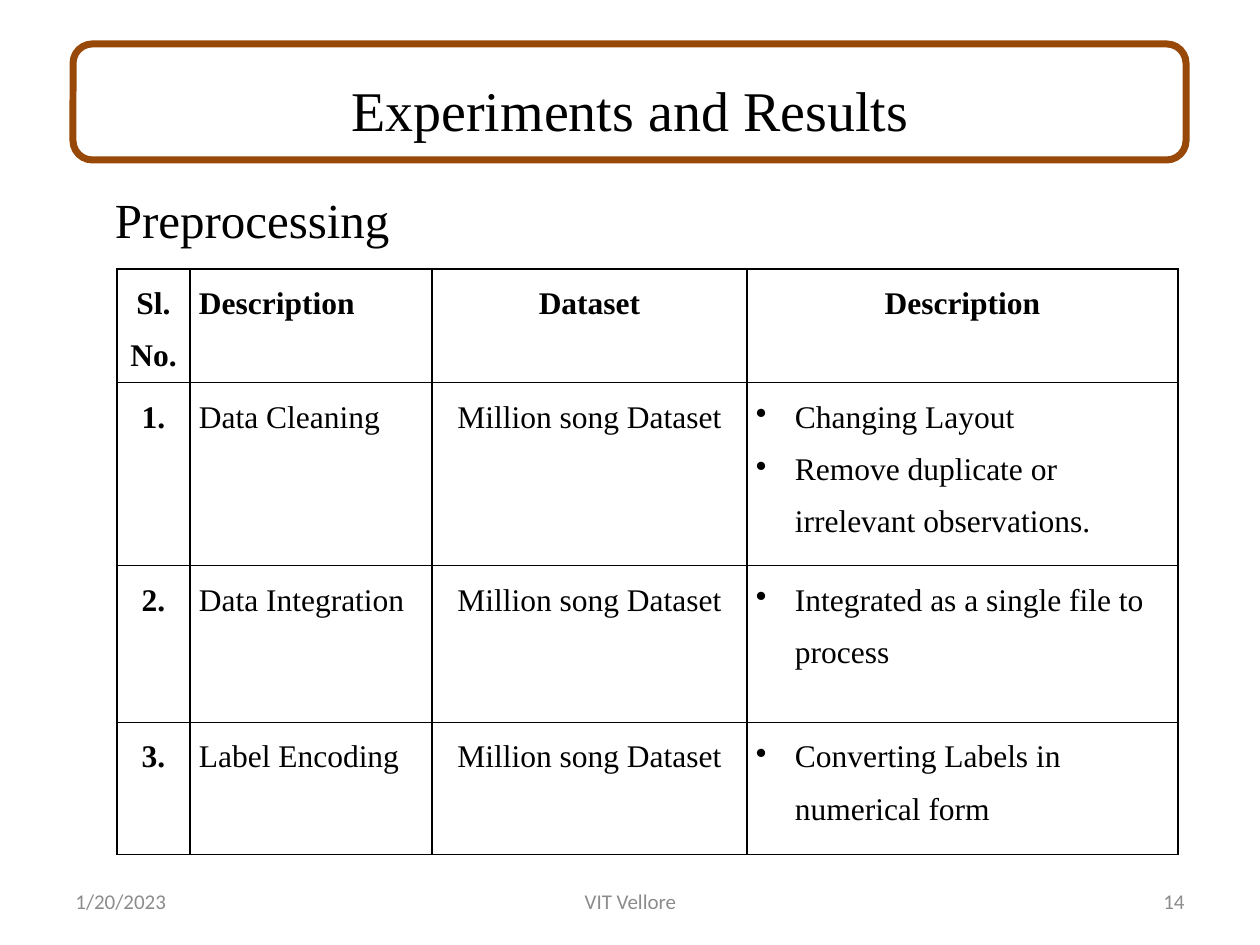
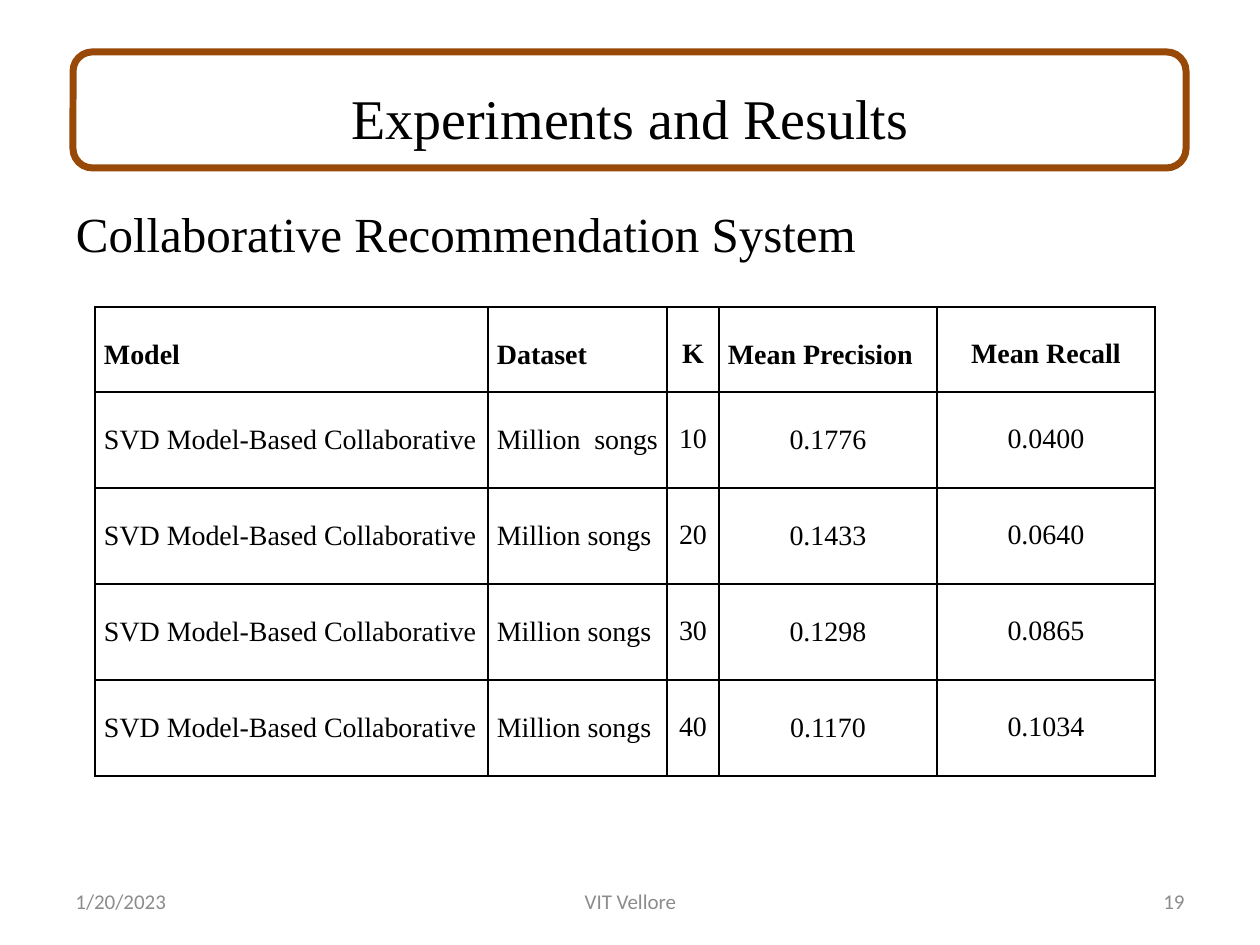
from lxml import etree
from pptx import Presentation, util as u
from pptx.dml.color import RGBColor
from pptx.enum import shapes, text
from pptx.oxml.ns import qn

COLORS = {"ink": "000000", "frame": "984807", "footer": "8C8C8C", "paper": "FFFFFF"}
SERIF, SANS = "Times New Roman", "Calibri"
LEFT, CENTER, RIGHT, JUSTIFY = (
    text.PP_ALIGN.LEFT, text.PP_ALIGN.CENTER, text.PP_ALIGN.RIGHT, text.PP_ALIGN.JUSTIFY)
TITLE = "Experiments and Results"
DATE, VENUE = "1/20/2023", "VIT Vellore"
DATASET = "Million song Dataset"
MODEL, SONGS = "SVD Model-Based Collaborative", "Million songs"
SIDE = 9
BULLET_INDENT = 39

SLIDES = [
    {
        "number": "14", "title_top": 30, "frame_top": 44,
        "heading": "Preprocessing", "heading_box": (102, 179, 339, 62), "heading_margin": 13,
        "table": {
            "at": (117, 269), "size": 18, "spacing": 1.5,
            "columns": (73, 242, 315, 431), "rows": (105, 183, 157, 132),
            "header_aligns": (CENTER, LEFT, CENTER, CENTER),
            "aligns": (CENTER, LEFT, CENTER, LEFT),
            "insets": [(SIDE, 0)] * 4, "bold_columns": {0},
            "cells": [
                ("Sl. No.", "Description", "Dataset", "Description"),
                ("1.", "Data Cleaning", DATASET,
                 ["Changing Layout", "Remove duplicate or irrelevant observations."]),
                ("2.", "Data Integration", DATASET, ["Integrated as a single file to process"]),
                ("3.", "Label Encoding", DATASET, ["Converting Labels in numerical form"]),
            ],
        },
    },
    {
        "number": "19", "title_top": 38, "frame_top": 52,
        "heading": "Collaborative Recommendation System",
        "heading_box": (0, 193, 917, 62), "heading_margin": 76,
        "table": {
            "at": (95, 307), "size": 16, "spacing": 2.0,
            "columns": (393, 179, 52, 218, 218), "rows": (85, 96, 96, 96, 96),
            "header_aligns": (JUSTIFY, JUSTIFY, CENTER, LEFT, CENTER),
            "aligns": (JUSTIFY, JUSTIFY, CENTER, CENTER, CENTER),
            "insets": [(SIDE, 1), (SIDE, 1), (0, 0), (SIDE, 1), (0, 0)], "bold_columns": set(),
            "cells": [
                ("Model", "Dataset", "K", "Mean Precision", "Mean Recall"),
                (MODEL, SONGS + " ", "10", "0.1776", "0.0400"),
                (MODEL, SONGS, "20", "0.1433", "0.0640"),
                (MODEL, SONGS, "30", "0.1298", "0.0865"),
                (MODEL, SONGS, "40", "0.1170", "0.1034"),
            ],
        },
    },
]


def px(length):
    return u.Emu(round(length * 914400 / 126))


def color(name):
    return RGBColor.from_string(COLORS[name])


def place(shape, left, top, width, height):
    shape.left, shape.top, shape.width, shape.height = map(px, (left, top, width, height))


def format_paragraph(paragraph, size, align=LEFT, font=SERIF, ink="ink", bold=False):
    paragraph.alignment = align
    for run in paragraph.runs:
        run.font.name, run.font.size, run.font.bold = font, u.Pt(size), bold
        run.font.color.rgb = color(ink)


def add_text(slide, box, words, size, anchor=text.MSO_ANCHOR.TOP, **style):
    shape = slide.shapes.add_textbox(*map(px, box))
    frame = shape.text_frame
    frame.word_wrap, frame.vertical_anchor = True, anchor
    frame.text = words
    format_paragraph(frame.paragraphs[0], size, **style)
    return frame


def add_title(slide, title_top, frame_top):
    title = slide.shapes.title
    place(title, 63, title_top, 1134, 158)
    frame = title.text_frame
    frame.text = TITLE
    frame.auto_size = text.MSO_AUTO_SIZE.NONE
    frame.vertical_anchor = text.MSO_ANCHOR.MIDDLE
    format_paragraph(frame.paragraphs[0], 32, CENTER)
    border = slide.shapes.add_shape(
        shapes.MSO_SHAPE.FLOWCHART_ALTERNATE_PROCESS, *map(px, (73, frame_top, 1113, 116)))
    border.shadow.inherit = False
    border.fill.background()
    border.line.color.rgb = color("frame")
    border.line.width = u.Pt(4)


def add_footer(slide, number):
    for left, width, words, align in (
            (63, 294, DATE, LEFT), (903, 294, number, RIGHT), (431, 399, VENUE, CENTER)):
        add_text(slide, (left, 876, width, 50), words, 12, text.MSO_ANCHOR.MIDDLE,
                 align=align, font=SANS, ink="footer")


def add_borders(cell):
    properties = cell._tc.get_or_add_tcPr()
    for position, side in enumerate(("a:lnL", "a:lnR", "a:lnT", "a:lnB")):
        line = etree.Element(qn(side), w=str(u.Pt(1)))
        fill = etree.SubElement(line, qn("a:solidFill"))
        etree.SubElement(fill, qn("a:srgbClr"), val=COLORS["ink"])
        properties.insert(position, line)


def add_bullet(paragraph):
    properties = paragraph._p.get_or_add_pPr()
    properties.set("marL", str(px(BULLET_INDENT)))
    properties.set("indent", str(-px(BULLET_INDENT)))
    etree.SubElement(properties, qn("a:buChar"), char="•")


def fill_cell(cell, content, spec_table, align, inset, bold):
    cell.fill.solid()
    cell.fill.fore_color.rgb = color("paper")
    add_borders(cell)
    side, top = map(px, inset)
    cell.margin_left = cell.margin_right = side
    cell.margin_top, cell.margin_bottom = top, 0
    bulleted = isinstance(content, list)
    cell.text_frame.text = "\n".join(content) if bulleted else content
    for paragraph in cell.text_frame.paragraphs:
        if bulleted:
            add_bullet(paragraph)
        paragraph.line_spacing = spec_table["spacing"]
        format_paragraph(paragraph, spec_table["size"], align, bold=bold)


def add_grid(slide, grid):
    columns, rows = grid["columns"], grid["rows"]
    table = slide.shapes.add_table(
        len(rows), len(columns), *map(px, (*grid["at"], sum(columns), sum(rows)))).table
    table.first_row = table.horz_banding = False
    for column, width in zip(table.columns, columns):
        column.width = px(width)
    for row, height in zip(table.rows, rows):
        row.height = px(height)
    for row_index, contents in enumerate(grid["cells"]):
        aligns = grid["aligns"] if row_index else grid["header_aligns"]
        for column_index, content in enumerate(contents):
            bold = row_index == 0 or column_index in grid["bold_columns"]
            fill_cell(table.cell(row_index, column_index), content, grid,
                      aligns[column_index], grid["insets"][column_index], bold)


def main():
    presentation = Presentation()
    presentation.slide_width, presentation.slide_height = px(1260), px(945)
    for content in SLIDES:
        slide = presentation.slides.add_slide(presentation.slide_layouts[5])
        add_title(slide, content["title_top"], content["frame_top"])
        heading = add_text(slide, content["heading_box"], content["heading"], 28)
        heading.margin_left, heading.margin_top = px(content["heading_margin"]), px(11)
        add_footer(slide, content["number"])
        add_grid(slide, content["table"])
    presentation.save("out.pptx")


if __name__ == "__main__":
    main()
